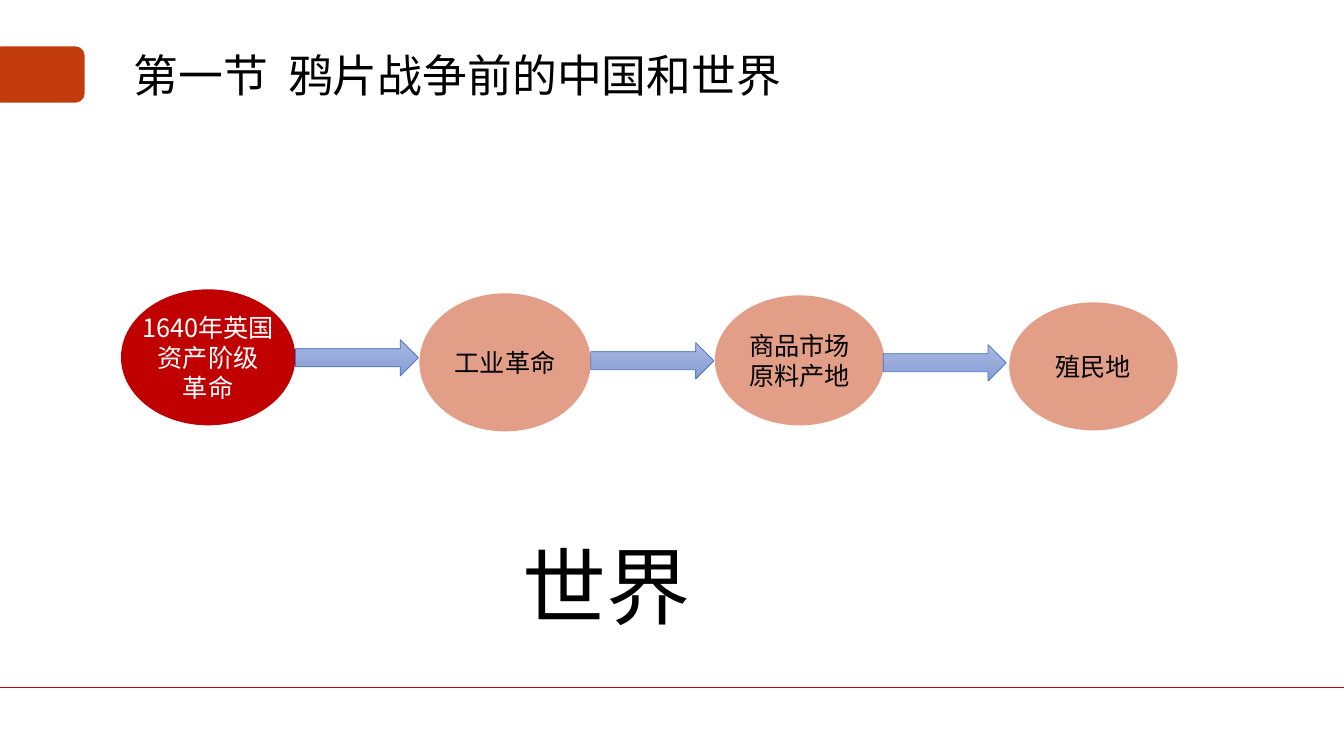
from dataclasses import dataclass

from lxml import etree
from pptx import Presentation
from pptx.dml.color import RGBColor
from pptx.enum.shapes import MSO_CONNECTOR, MSO_SHAPE
from pptx.enum.text import MSO_ANCHOR, MSO_AUTO_SIZE, PP_ALIGN
from pptx.oxml.ns import qn
from pptx.util import Emu, Pt

OVAL, ARROW, ROUND = MSO_SHAPE.OVAL, MSO_SHAPE.RIGHT_ARROW, MSO_SHAPE.ROUNDED_RECTANGLE
STRAIGHT = MSO_CONNECTOR.STRAIGHT
CENTER, JUSTIFY = PP_ALIGN.CENTER, PP_ALIGN.JUSTIFY
TOP, MIDDLE = MSO_ANCHOR.TOP, MSO_ANCHOR.MIDDLE
FIT = MSO_AUTO_SIZE.SHAPE_TO_FIT_TEXT
PX = 9144


@dataclass(frozen=True)
class Theme:
    font: str = "Noto Sans CJK SC"
    ink: str = "000000"
    white: str = "FFFFFF"
    tab: str = "C23C0D"
    red: str = "C00000"
    salmon: str = "E29E86"
    arrow_line: str = "4472C4"
    arrow_fill: tuple = ("A8B7DF", "889ED7")
    hairline: float = 0.5
    title: int = 32
    label: int = 18
    display: int = 60


class Deck:
    """Draws styled elements on the current slide, in px of 1/100 inch."""

    def __init__(self, prs, theme):
        self.theme = theme
        self.s = prs.slides.add_slide(prs.slide_layouts[6])

    def shape(self, kind, box, color=None):
        sp = self.s.shapes.add_shape(kind, *(Emu(v * PX) for v in box))
        sp.shadow.inherit = False
        sp.line.fill.background()
        if color:
            sp.fill.solid()
            sp.fill.fore_color.rgb = RGBColor.from_string(color)
        return sp

    def arrow(self, box):
        sp = self.shape(ARROW, box)
        sp.fill.gradient()
        sp.fill.gradient_angle = 270
        for i, (stop, color) in enumerate(zip(sp.fill.gradient_stops, self.theme.arrow_fill)):
            stop.position = i
            stop.color.rgb = RGBColor.from_string(color)
        self.stroke(sp.line, self.theme.arrow_line)

    def rule(self, x1, x2, y, color):
        line = self.s.shapes.add_connector(STRAIGHT, *(Emu(v * PX) for v in (x1, y, x2, y)))
        self.stroke(line.line, color)
        etree.SubElement(line._element.spPr, qn("a:effectLst"))

    def stroke(self, line, color):
        line.color.rgb = RGBColor.from_string(color)
        line.width = Pt(self.theme.hairline)

    def oval(self, box, text, fill, color):
        tf = self.shape(OVAL, box, fill).text_frame
        self.set_text(tf, text, self.theme.label, color, CENTER, wrap=False, anchor=MIDDLE)

    def text(self, box, text, size, align, spacing, margins=(0, 0, 0, 0)):
        tf = self.s.shapes.add_textbox(*(Emu(v * PX) for v in box)).text_frame
        self.set_text(tf, text, size, self.theme.ink, align, spacing, margins)
        return tf

    def set_text(self, tf, text, size, color, align, spacing=None,
                 margins=(0, 0, 0, 0), wrap=True, anchor=TOP):
        tf.text = text
        tf.word_wrap = wrap
        tf.vertical_anchor = anchor
        tf.margin_left, tf.margin_top, tf.margin_right, tf.margin_bottom = (
            Emu(v * PX) for v in margins)
        for p in tf.paragraphs:
            p.alignment = align
            p.line_spacing = spacing
            for r in p.runs:
                r.font.size = Pt(size)
                r.font.color.rgb = RGBColor.from_string(color)
                r.font.name = self.theme.font
                ea = etree.SubElement(r._r.get_or_add_rPr(), qn("a:ea"))
                ea.set("typeface", self.theme.font)


def main():
    prs = Presentation()
    prs.slide_width, prs.slide_height = Emu(1333 * PX), Emu(750 * PX)
    theme = Theme()
    deck = Deck(prs, theme)

    deck.shape(ROUND, (-8, 46, 92, 56), theme.tab)
    deck.rule(0, 1333, 682, theme.red)
    title = deck.text((56, 48, 827, 59), "第一节  鸦片战争前的中国和世界",
                      theme.title, CENTER, 0.9, (10, 5, 41, 5))
    title.auto_size = FIT

    stages = [
        ((120, 287, 173, 135), "1640年英国\n资产阶级\n革命", theme.red, theme.white),
        ((416, 291, 170, 137), "工业革命", theme.salmon, theme.ink),
        ((709, 293, 168, 129), "商品市场\n原料产地", theme.salmon, theme.ink),
        ((1001, 300, 167, 127), "殖民地", theme.salmon, theme.ink),
    ]
    for stage in stages:
        deck.oval(*stage)
    for x, y in ((293, 337), (586, 340), (876, 342)):
        deck.arrow((x, y, 122, 36))

    deck.text((518, 510, 257, 69), "世界", theme.display, JUSTIFY, 1.2)
    prs.save("out.pptx")


if __name__ == "__main__":
    main()
